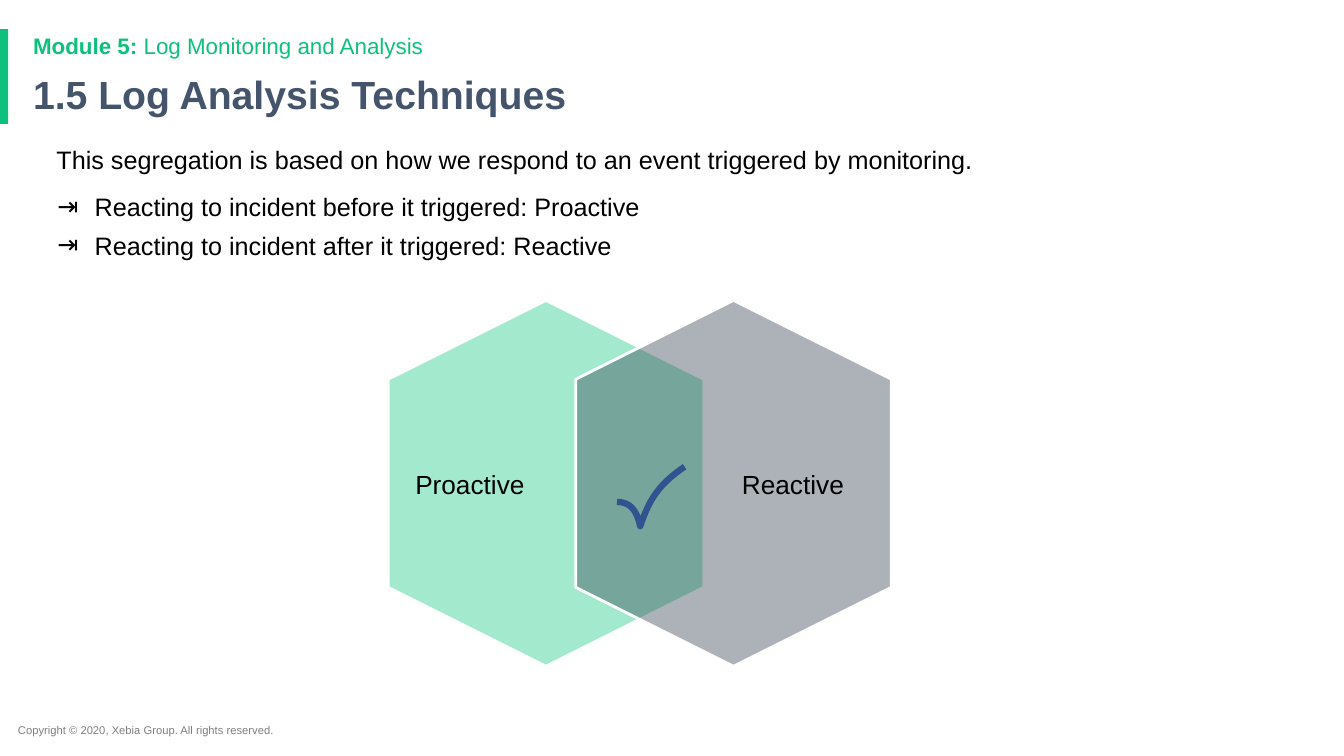
from lxml.etree import SubElement
from pptx import Presentation
from pptx.dml.color import RGBColor
from pptx.enum.shapes import MSO_SHAPE
from pptx.enum.text import MSO_ANCHOR
from pptx.oxml.ns import qn
from pptx.util import Pt

PX = 9144
GREEN = RGBColor(0x0E, 0xC0, 0x7D)
MINT = RGBColor(0x1B, 0xC8, 0x86)
SLATE = RGBColor(0x32, 0x3F, 0x4F)
NAVY = RGBColor(0x44, 0x54, 0x6A)
BLUE = RGBColor(0x31, 0x53, 0x8F)
GRAY = RGBColor(0x7F, 0x7F, 0x7F)
BLACK = RGBColor(0, 0, 0)
WHITE = RGBColor(0xFF, 0xFF, 0xFF)


def add_run(p, text, size=18, color=BLACK, bold=False):
    r = p.add_run()
    r.text = text
    r.font.name = "Arial"
    r.font.size = Pt(size)
    r.font.bold = bold
    r.font.color.rgb = color


def add_bullet(p, char):
    pPr = p._p.get_or_add_pPr()
    pPr.set("marL", str(38 * PX))
    pPr.set("indent", str(-37 * PX))
    color = SubElement(pPr, qn("a:buClr"))
    SubElement(color, qn("a:srgbClr")).set("val", str(BLACK))
    SubElement(pPr, qn("a:buFont")).set("typeface", "Arial")
    SubElement(pPr, qn("a:buChar")).set("char", char)


def bezier(start, c1, c2, end, steps=16):
    for i in range(1, steps + 1):
        t = i / steps
        u = 1 - t
        yield tuple(
            u**3 * a + 3 * u * u * t * b + 3 * u * t * t * c + t**3 * d
            for a, b, c, d in zip(start, c1, c2, end)
        )


class Deck:
    def __init__(self, width, height):
        self.prs = Presentation()
        self.prs.slide_width = width * PX
        self.prs.slide_height = height * PX
        self.s = self.prs.slides.add_slide(self.prs.slide_layouts[6])

    def shape(self, kind, box, fill, alpha=100, line=None, rotation=0):
        sp = self.s.shapes.add_shape(kind, *(v * PX for v in box))
        sp.shadow.inherit = False
        sp.rotation = rotation
        sp.fill.solid()
        sp.fill.fore_color.rgb = fill
        if alpha < 100:
            color = sp.fill._xPr.find(qn("a:solidFill"))[0]
            SubElement(color, qn("a:alpha")).set("val", str(alpha * 1000))
        if line:
            sp.line.color.rgb = line
            sp.line.width = Pt(2)
        else:
            sp.line.fill.background()
        return sp

    def hexagon(self, box, fill):
        sp = self.shape(MSO_SHAPE.HEXAGON, box, fill, 40, WHITE, 90)
        sp.adjustments[0] = 0.25

    def text(self, box, *runs, spacing=None, anchor=MSO_ANCHOR.MIDDLE):
        tf = self.s.shapes.add_textbox(*(v * PX for v in box)).text_frame
        tf.word_wrap = True
        tf.vertical_anchor = anchor
        p = tf.paragraphs[0]
        p.line_spacing = spacing
        for text, style in runs:
            add_run(p, text, **style)
        return tf

    def bullets(self, box, intro, items):
        tf = self.text(box, (intro, {}), anchor=MSO_ANCHOR.TOP)
        tf.margin_left = tf.margin_top = 0
        for item, before in zip(items, (12, 6)):
            p = tf.add_paragraph()
            p.space_before = Pt(before)
            add_bullet(p, "⇥")
            add_run(p, item)

    def curve(self, start, segments, color, width):
        points = []
        last = start
        for c1, c2, end in segments:
            points += bezier(last, c1, c2, end)
            last = end
        builder = self.s.shapes.build_freeform(start[0] * PX, start[1] * PX)
        builder.add_line_segments([(x * PX, y * PX) for x, y in points], close=False)
        sp = builder.convert_to_shape()
        sp.shadow.inherit = False
        sp.fill.background()
        sp.line.color.rgb = color
        sp.line.width = Pt(width)
        SubElement(sp.line._get_or_add_ln(), qn("a:round"))


def main():
    deck = Deck(1333, 750)
    deck.shape(MSO_SHAPE.RECTANGLE, (0, 29, 8, 94), GREEN)
    deck.text((8, 712, 713, 24),
              ("Copyright © 2020, Xebia Group. All rights reserved.", dict(size=8, color=GRAY)))
    deck.text((23, 30, 1150, 33),
              ("Module 5: ", dict(size=16, color=GREEN, bold=True)),
              ("Log Monitoring and Analysis", dict(size=16, color=GREEN)), spacing=0.9)
    deck.text((23, 69, 1150, 54),
              ("1.5 Log Analysis Techniques", dict(size=28, color=NAVY, bold=True)), spacing=0.9)
    deck.bullets((56, 143, 1124, 529),
                 "This segregation is based on how we respond to an event triggered by monitoring.",
                 ("Reacting to incident before it triggered: Proactive",
                  "Reacting to incident after it triggered: Reactive"))
    for left, fill in ((360, MINT), (546, SLATE)):
        deck.hexagon((left, 323, 363, 313), fill)
    for label, left, width in (("Proactive", 402, 129), ("Reactive", 726, 122)):
        deck.text((left, 459, width, 42), (label, dict(size=18.7)))
    deck.curve((612, 498), (((627, 498), (632, 509), (635, 522)),
                            ((645, 492), (656, 479), (679, 463))), BLUE, 4.5)
    deck.prs.save("out.pptx")


if __name__ == "__main__":
    main()
